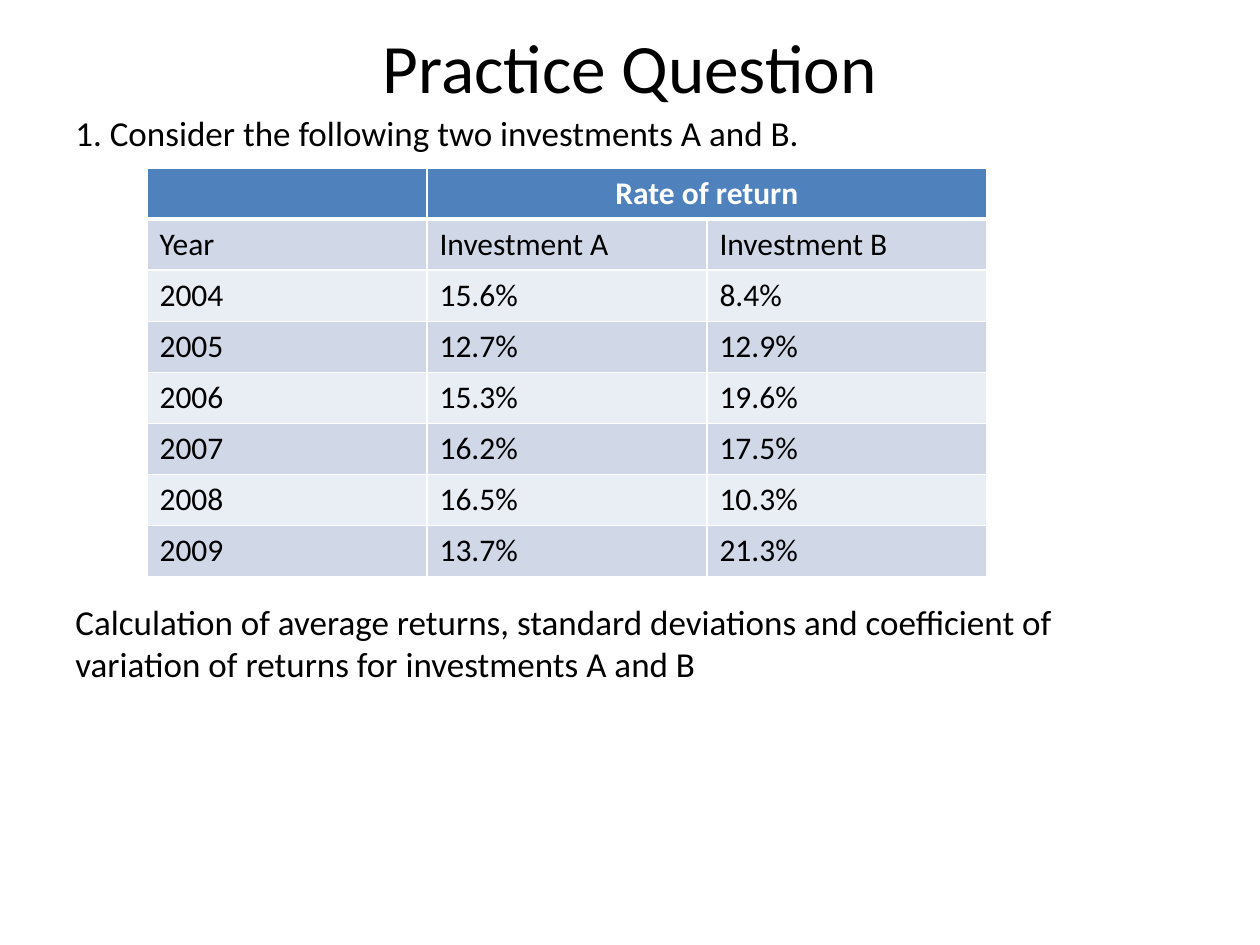
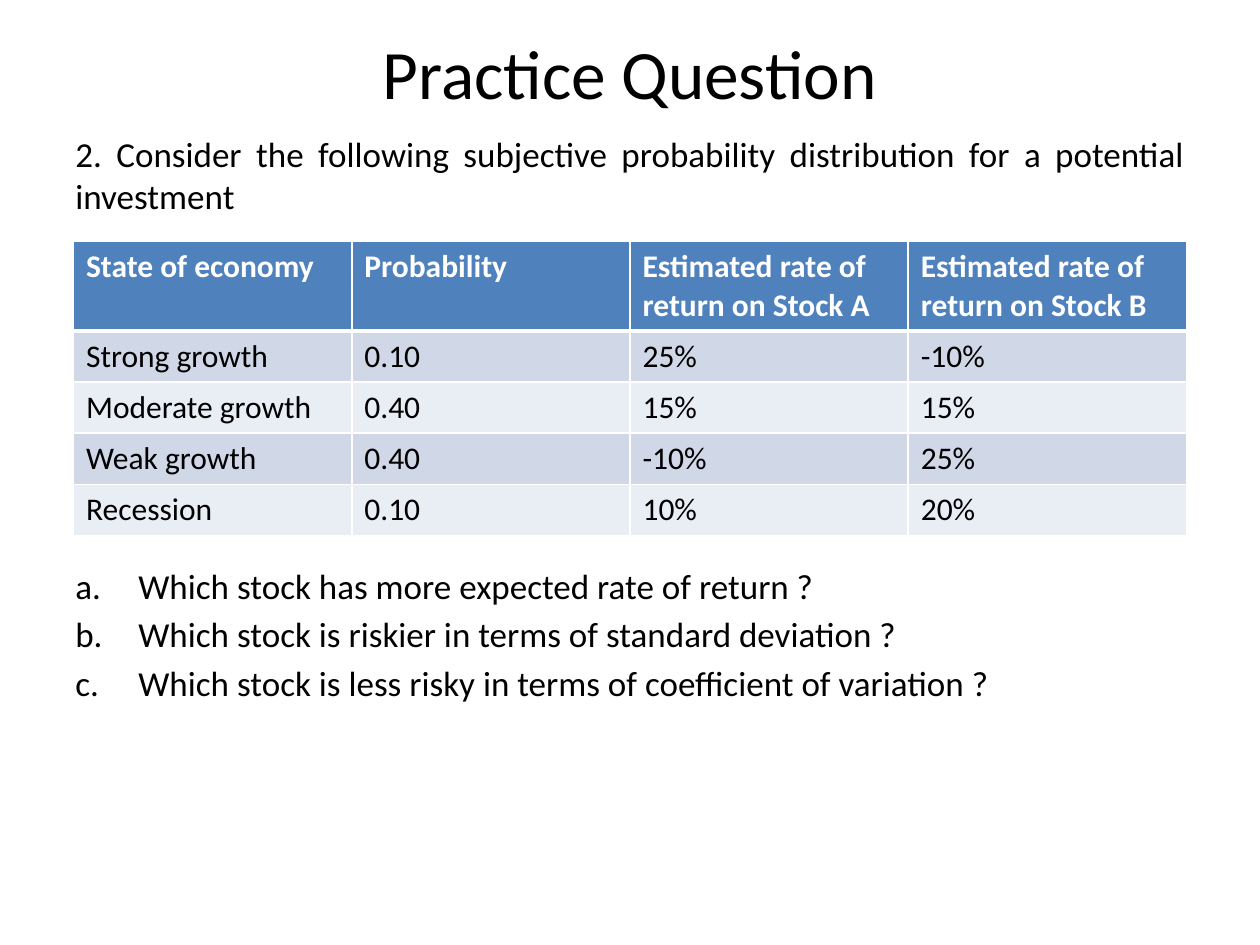
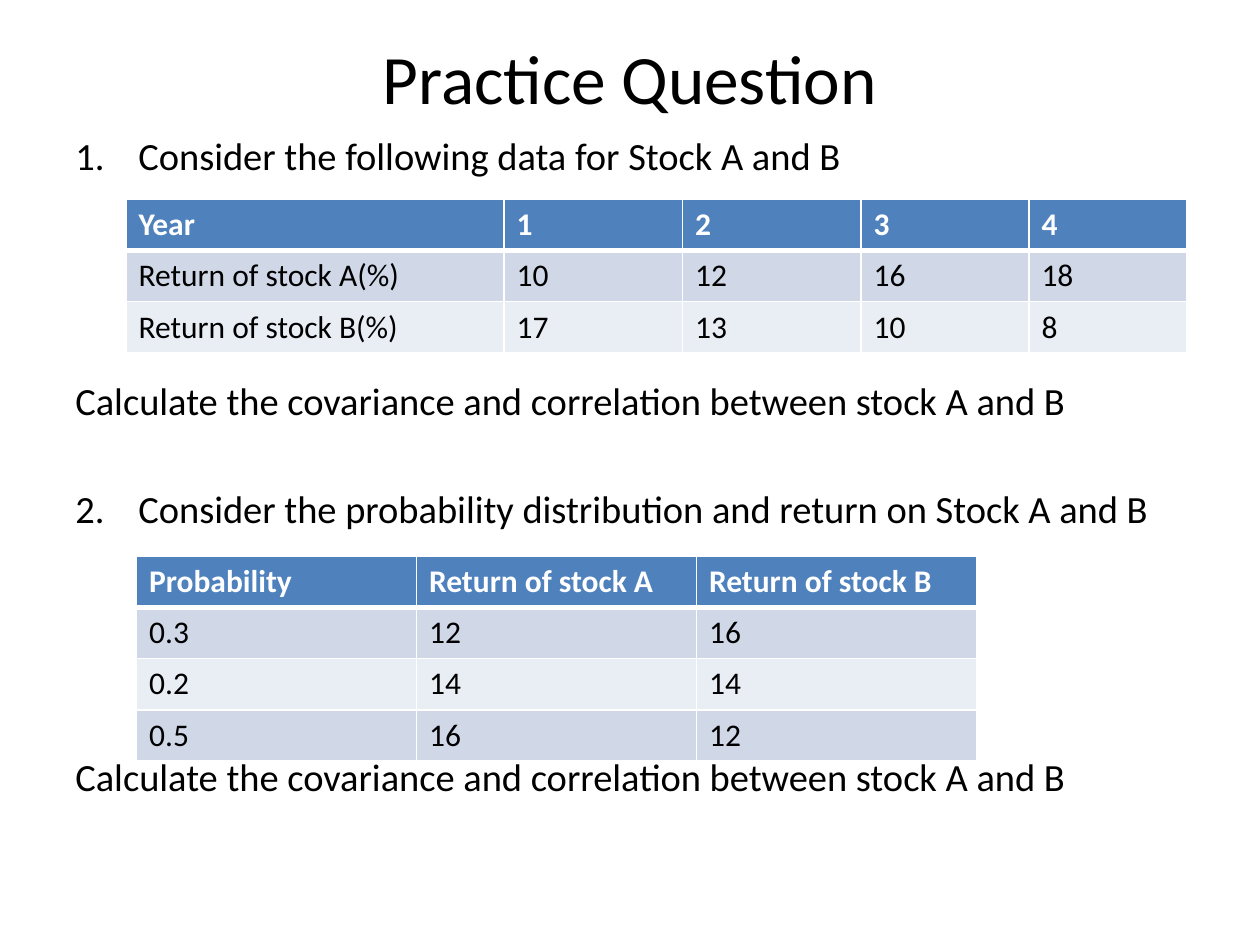
from dataclasses import dataclass
from typing import NamedTuple

from lxml.etree import SubElement
from pptx import Presentation
from pptx.dml.color import RGBColor as Color
from pptx.enum.text import MSO_ANCHOR as Anchor, MSO_AUTO_SIZE as AutoSize, PP_ALIGN as Align
from pptx.oxml import parse_xml
from pptx.oxml.ns import nsdecls, qn
from pptx.util import Pt


@dataclass(frozen=True)
class Theme:
    """Colours, type sizes and measures shared by the slides."""
    font: str = "Calibri"
    text: str = "000000"
    white: str = "FFFFFF"
    header: str = "4F81BD"
    bands: tuple = ("D0D8E8", "E9EDF4")
    title_size: float = 39.6
    table_size: float = 18
    row_height: float = 29.2
    indent: float = 36
    thin: float = 1
    thick: float = 3


THEME = Theme()


class Box(NamedTuple):
    """A region in points."""
    left: float
    top: float
    width: float
    height: float


class Line(NamedTuple):
    """A body paragraph with the gap above it and its numbering."""
    text: str
    gap: float = 0
    numbering: str = ""
    start: int = 1


def style_font(paragraph, size, color=THEME.text, bold=False):
    """Set the font of a whole paragraph."""
    font = paragraph.font
    font.name, font.size, font.bold = THEME.font, Pt(size), bold
    font.color.rgb = Color.from_string(color)


def add_text_frame(slide, box):
    """Add a wrapping text box of fixed size and return its text frame."""
    frame = slide.shapes.add_textbox(*map(Pt, box)).text_frame
    frame.word_wrap = True
    frame.auto_size = AutoSize.NONE
    return frame


def add_title(slide, height):
    """Add the centred slide title."""
    frame = add_text_frame(slide, Box(36, 21.6, 648, height))
    frame.vertical_anchor = Anchor.MIDDLE
    paragraph = frame.paragraphs[0]
    paragraph.text = "Practice Question"
    paragraph.alignment = Align.CENTER
    style_font(paragraph, THEME.title_size)


def number_paragraph(paragraph, numbering, start):
    """Give a paragraph a hanging automatic number."""
    properties = paragraph._p.get_or_add_pPr()
    properties.set("marL", str(Pt(THEME.indent)))
    properties.set("indent", str(-Pt(THEME.indent)))
    number = SubElement(properties, qn("a:buAutoNum"), type=numbering)
    if start > 1:
        number.set("startAt", str(start))


def add_body(slide, box, lines, size, alignment=Align.LEFT):
    """Add the body text, leaving gaps where the tables stand."""
    frame = add_text_frame(slide, box)
    for index, line in enumerate(lines):
        paragraph = frame.add_paragraph() if index else frame.paragraphs[0]
        paragraph.text = line.text
        paragraph.alignment = alignment
        paragraph.space_before = Pt(line.gap)
        if line.numbering:
            number_paragraph(paragraph, line.numbering, line.start)
        style_font(paragraph, size)


def set_borders(cell, top, bottom):
    """Draw white borders around a cell."""
    widths = {"lnL": THEME.thin, "lnR": THEME.thin, "lnT": top, "lnB": bottom}
    for position, (tag, width) in enumerate(widths.items()):
        cell._tc.get_or_add_tcPr().insert(position, parse_xml(
            f'<a:{tag} {nsdecls("a")} w="{Pt(width)}"><a:solidFill>'
            f'<a:srgbClr val="{THEME.white}"/></a:solidFill></a:{tag}>'))


def style_cell(cell, row):
    """Fill and border a cell and set its font by its row."""
    is_header = row == 0
    fill = THEME.header if is_header else THEME.bands[(row - 1) % 2]
    cell.fill.solid()
    cell.fill.fore_color.rgb = Color.from_string(fill)
    set_borders(cell, THEME.thick if row == 1 else THEME.thin,
                THEME.thick if is_header else THEME.thin)
    style_font(cell.text_frame.paragraphs[0], THEME.table_size,
               THEME.white if is_header else THEME.text, is_header)


def add_data_table(slide, left, top, widths, rows, header_height=THEME.row_height):
    """Add a banded table and return it."""
    height = header_height + THEME.row_height * (len(rows) - 1)
    box = Box(left, top, sum(widths), height)
    table = slide.shapes.add_table(len(rows), len(widths), *map(Pt, box)).table
    for column, width in zip(table.columns, widths):
        column.width = Pt(width)
    for row, values in enumerate(rows):
        table.rows[row].height = Pt(THEME.row_height if row else header_height)
        for column, value in enumerate(values):
            cell = table.cell(row, column)
            cell.text = value
            style_cell(cell, row)
    return table


def build_investments(slide):
    """Build the question on two investments."""
    add_title(slide, 32.4)
    add_body(slide, Box(36, 60, 648, 444), [
        Line("1. Consider the following two investments A and B."),
        Line("Calculation of average returns, standard deviations and coefficient of "
             "variation of returns for investments A and B", 255.6),
    ], 20)
    table = add_data_table(slide, 84, 96, [160] * 3, [
        ("", "Rate of return", ""),
        ("Year", "Investment A", "Investment B"),
        ("2004", "15.6%", "8.4%"),
        ("2005", "12.7%", "12.9%"),
        ("2006", "15.3%", "19.6%"),
        ("2007", "16.2%", "17.5%"),
        ("2008", "16.5%", "10.3%"),
        ("2009", "13.7%", "21.3%"),
    ])
    heading = table.cell(0, 1)
    heading.merge(table.cell(0, 2))
    heading.text_frame.paragraphs[0].alignment = Align.CENTER


def build_economy(slide):
    """Build the question on states of the economy."""
    add_title(slide, 38.4)
    letters = "alphaLcPeriod"
    add_body(slide, Box(36, 72, 648, 426), [
        Line("2. Consider the following subjective probability distribution for a "
             "potential investment"),
        Line("Which stock has more expected rate of return ?", 199, letters),
        Line("Which stock is riskier in terms of standard deviation ?", 3.6, letters),
        Line("Which stock is less risky in terms of coefficient of variation ?", 3.6, letters),
    ], 20, Align.JUSTIFY)
    add_data_table(slide, 42, 138, [159] * 4, [
        ("State of economy", "Probability", "Estimated rate of return on Stock A",
         "Estimated rate of return on Stock B"),
        ("Strong growth", "0.10", "25%", "-10%"),
        ("Moderate growth", "0.40", "15%", "15%"),
        ("Weak growth", "0.40", "-10%", "25%"),
        ("Recession", "0.10", "10%", "20%"),
    ], header_height=50.4)


def build_covariance(slide):
    """Build the two questions on covariance and correlation."""
    add_title(slide, 44.4)
    task = "Calculate the covariance and correlation between stock A and B"
    digits = "arabicPeriod"
    add_body(slide, Box(36, 72, 648, 410.4), [
        Line("Consider the following data for Stock A and B", 0, digits),
        Line(task, 113.7),
        Line("Consider the probability distribution and return on Stock A and B", 34.9, digits, 2),
        Line(task, 126.9),
    ], 22)
    add_data_table(slide, 72, 114, [216, 102, 102, 96, 90], [
        ("Year", "1", "2", "3", "4"),
        ("Return of stock A(%)", "10", "12", "16", "18"),
        ("Return of stock B(%)", "17", "13", "10", "8"),
    ])
    add_data_table(slide, 78, 318, [160] * 3, [
        ("Probability", "Return of stock A", "Return of stock B"),
        ("0.3", "12", "16"),
        ("0.2", "14", "14"),
        ("0.5", "16", "12"),
    ])


def main():
    """Build and save the presentation."""
    presentation = Presentation()
    presentation.slide_width, presentation.slide_height = Pt(720), Pt(540)
    blank = presentation.slide_layouts[6]
    for build in (build_investments, build_economy, build_covariance):
        build(presentation.slides.add_slide(blank))
    presentation.save("out.pptx")


if __name__ == "__main__":
    main()
